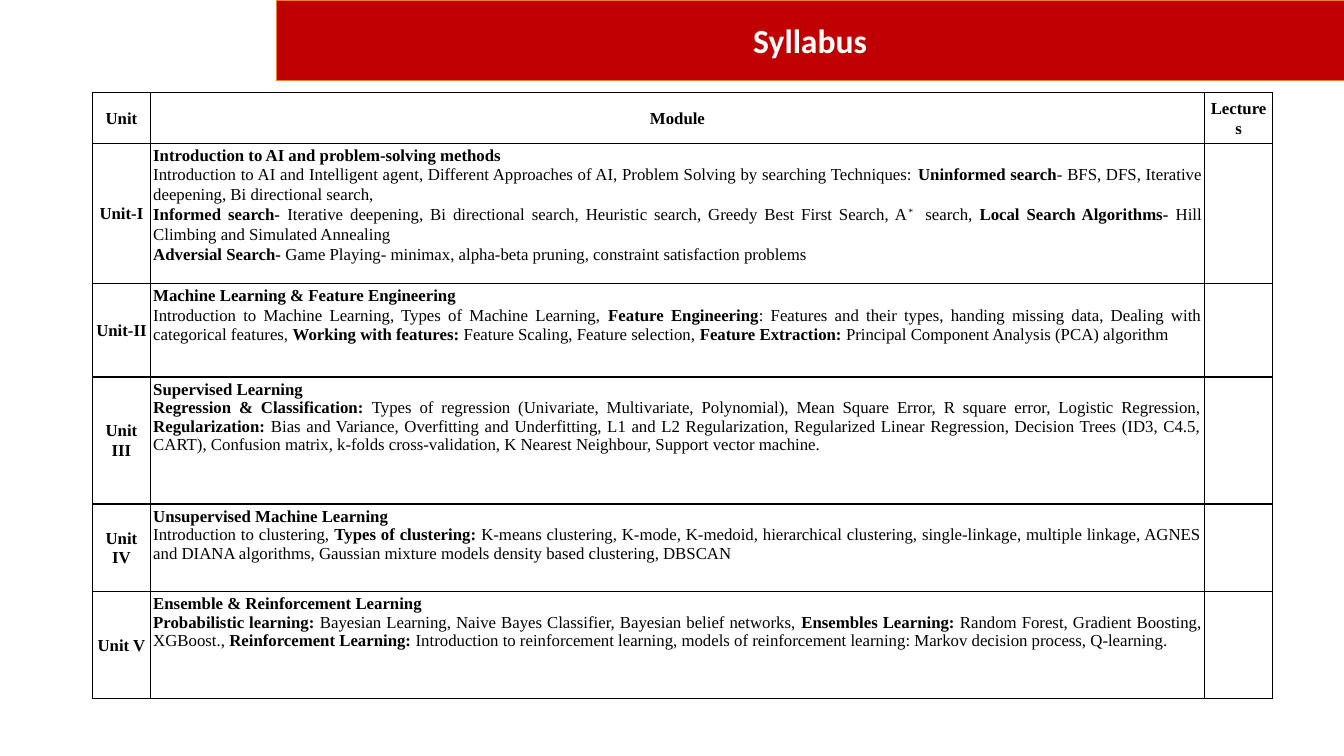
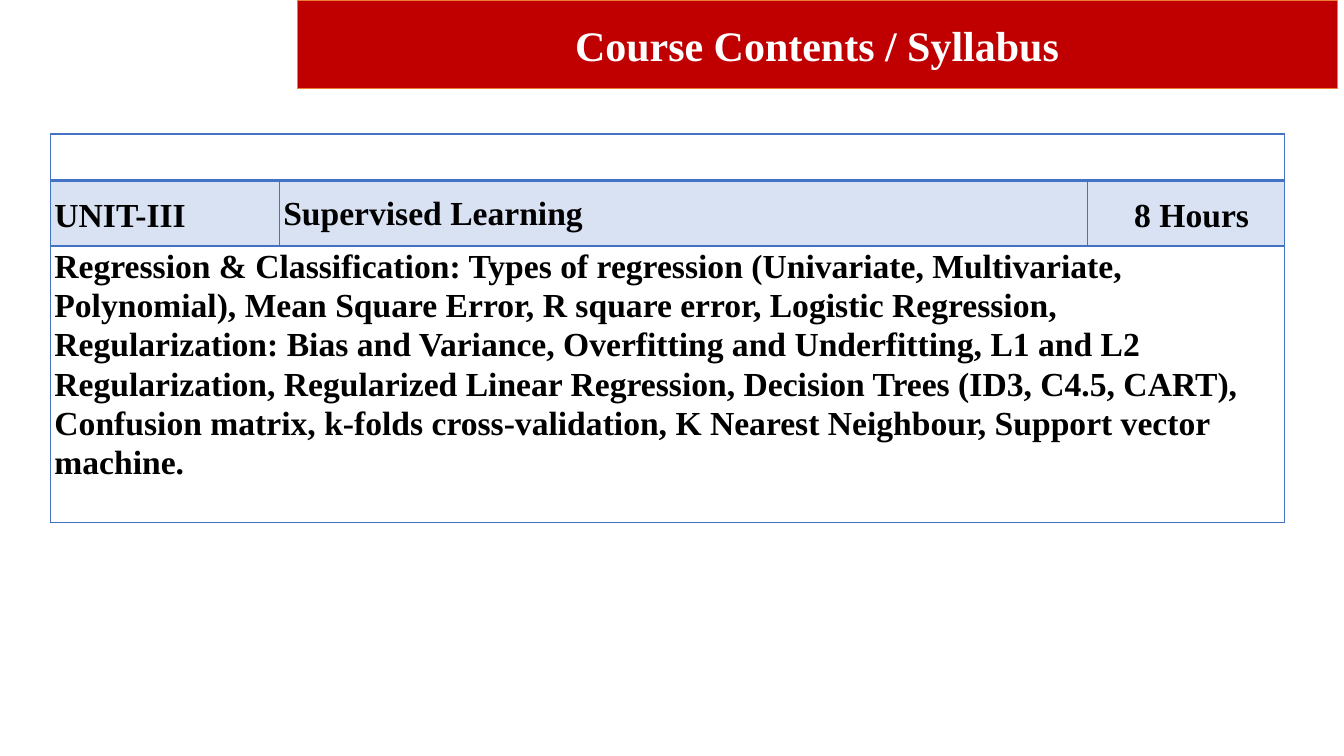
from dataclasses import dataclass

from lxml import etree
from pptx import Presentation
from pptx.dml.color import RGBColor
from pptx.enum.shapes import MSO_SHAPE
from pptx.enum.text import MSO_ANCHOR, PP_ALIGN
from pptx.oxml.ns import qn
from pptx.util import Inches, Pt

RECT = MSO_SHAPE.RECTANGLE
TOP, MIDDLE = MSO_ANCHOR.TOP, MSO_ANCHOR.MIDDLE
LEFT, CENTER, JUSTIFY = PP_ALIGN.LEFT, PP_ALIGN.CENTER, PP_ALIGN.JUSTIFY


@dataclass(frozen=True)
class Theme:
    red: str = "C00000"
    orange: str = "ED7D31"
    blue: str = "4472C4"
    white: str = "FFFFFF"
    black: str = "000000"
    sans: str = "Calibri"
    serif: str = "Times New Roman"
    title: int = 24
    title_large: int = 30
    small: int = 12
    large: int = 24
    spacing: float = 1.06
    tint: int = 20  # opacity of the unit row, percent


T = Theme()

# Content: **bold**, ^superscript^
HEADINGS = ["Unit", "Module", "Lectures"]
UNITS = [  # label, title, body paragraphs, body line spacing
    ("Unit-I", "Introduction to AI and problem-solving methods", [
        "Introduction to AI and Intelligent agent, Different Approaches of AI, Problem Solving by "
        "searching Techniques: **Uninformed search**- BFS, DFS, Iterative deepening, "
        "Bi directional search,",
        "**Informed search-** Iterative deepening, Bi directional search, Heuristic search, "
        "Greedy Best First Search, A^* ^ search, **Local Search Algorithms- **Hill Climbing "
        "and Simulated Annealing",
        "**Adversial Search- **Game Playing- minimax, alpha-beta pruning, "
        "constraint satisfaction problems"], T.spacing),
    ("Unit-II", "Machine Learning & Feature Engineering", [
        "Introduction to Machine Learning, Types of Machine Learning, **Feature Engineering**: "
        "Features and their types, handing missing data, Dealing with categorical features, "
        "**Working with features:** Feature Scaling, Feature selection, "
        "**Feature Extraction:** Principal Component Analysis (PCA) algorithm"], T.spacing),
    ("Unit III", "Supervised Learning", [
        "**Regression & Classification: **Types of regression (Univariate, Multivariate, "
        "Polynomial), Mean Square Error, R square error, Logistic Regression, "
        "**Regularization: **Bias and Variance, Overfitting and Underfitting, L1 and L2 "
        "Regularization, Regularized Linear Regression, Decision Trees (ID3, C4.5, CART), "
        "Confusion matrix, k-folds cross-validation, K Nearest Neighbour, "
        "Support vector machine."], 1.0),
    ("Unit IV", "Unsupervised Machine Learning", [
        "Introduction to clustering, **Types of clustering:** K-means clustering, K-mode, "
        "K-medoid, hierarchical clustering, single-linkage, multiple linkage, AGNES and DIANA "
        "algorithms, Gaussian mixture models density based clustering, DBSCAN"], 1.0),
    ("Unit V", "Ensemble & Reinforcement Learning", [
        "**Probabilistic learning: **Bayesian Learning, Naive Bayes Classifier, Bayesian belief "
        "networks, **Ensembles Learning: **Random Forest, Gradient Boosting, XGBoost., "
        "**Reinforcement Learning: **Introduction to reinforcement learning, models of "
        "reinforcement learning: Markov decision process, Q-learning."], 1.0),
]
SUPERVISED = UNITS[2]
UNIT_ROW = [  # text, line spacing, space after, left margin
    ("UNIT-III", 1.15, 10, 0.04),
    (SUPERVISED[1], T.spacing, 0, 0.04),
    ("8 Hours", 1.15, 10, 0.46),
]


def rgb(color):
    return RGBColor.from_string(color)


def add_run(p, text, size, font=T.serif, color=T.black, bold=True, raised=False):
    r = p.add_run()
    r.text = text
    r.font.size, r.font.name, r.font.bold = Pt(size), font, bold
    r.font.color.rgb = rgb(color)
    if raised:
        r.font._element.set("baseline", "30000")


def add_marked(p, text, size):
    for i, part in enumerate(text.split("**")):
        for j, piece in enumerate(part.split("^")):
            if piece:
                add_run(p, piece, size, bold=i % 2 == 1, raised=j % 2 == 1)


def add_band(slide, left, width, height, text, size, font, margins=(0.1, 0.05)):
    sp = slide.shapes.add_shape(RECT, Inches(left), 0, Inches(width), Inches(height))
    sp.shadow.inherit = False
    sp.fill.solid()
    sp.fill.fore_color.rgb = rgb(T.red)
    sp.line.color.rgb = rgb(T.orange)
    sp.line.width = Pt(0.5)
    tf = sp.text_frame
    tf.word_wrap = True
    tf.vertical_anchor = MIDDLE
    tf.margin_left = tf.margin_right = Inches(margins[0])
    tf.margin_top = tf.margin_bottom = Inches(margins[1])
    p = tf.paragraphs[0]
    p.alignment = CENTER
    add_run(p, text, size, font, T.white)


def set_borders(cell, color, top=1, bottom=1):
    tcPr = cell._tc.get_or_add_tcPr()
    for i, (side, width) in enumerate(zip("LRTB", (1, 1, top, bottom))):
        ln = etree.Element(qn(f"a:ln{side}"), w=str(Pt(width)))
        fill = etree.SubElement(ln, qn("a:solidFill"))
        etree.SubElement(fill, qn("a:srgbClr"), val=color)
        tcPr.insert(i, ln)


def add_grid(slide, left, top, cols, rows, border):
    table = slide.shapes.add_table(
        len(rows), len(cols), Inches(left), Inches(top),
        Inches(sum(cols)), Inches(sum(rows))).table
    table.first_row = table.horz_banding = False
    for col, width in zip(table.columns, cols):
        col.width = Inches(width)
    for row, height in zip(table.rows, rows):
        row.height = Inches(height)
    for cell in table.iter_cells():
        cell.fill.background()
        set_borders(cell, border)
    return table


def format_cell(cell, anchor, side, edge, left=None):
    cell.vertical_anchor = anchor
    cell.margin_left = Inches(side if left is None else left)
    cell.margin_right = Inches(side)
    cell.margin_top = cell.margin_bottom = Inches(edge)


def write_cell(cell, text, size, align=LEFT, spacing=T.spacing, after=0):
    p = cell.text_frame.paragraphs[0]
    p.alignment, p.line_spacing = align, spacing
    if after:
        p.space_after = Pt(after)
    add_run(p, text, size)


def tint_cell(cell):
    cell.fill.solid()
    cell.fill.fore_color.rgb = rgb(T.blue)
    color = cell._tc.tcPr.find(f"{qn('a:solidFill')}/{qn('a:srgbClr')}")
    etree.SubElement(color, qn("a:alpha"), val=str(T.tint * 1000))


def build_syllabus(slide):
    add_band(slide, 2.74, 10.59, 0.8, "Syllabus", T.title, T.sans)
    table = add_grid(slide, 0.92, 0.92, [0.57, 10.46, 0.67],
                     [0.5, 1.39, 0.93, 1.26, 0.87, 1.06], T.black)
    # Heading row
    for c, text in enumerate(HEADINGS):
        cell = table.cell(0, c)
        format_cell(cell, MIDDLE, 0.03, 0.02)
        write_cell(cell, text, T.small, CENTER)
    # One row per unit
    for row, (label, title, body, spacing) in enumerate(UNITS, 1):
        unit, module = table.cell(row, 0), table.cell(row, 1)
        format_cell(unit, MIDDLE, 0.03, 0.02)
        write_cell(unit, label, T.small, CENTER)
        format_cell(module, TOP, 0.03, 0.02)
        write_cell(module, title, T.small)
        for text in body:
            p = module.text_frame.add_paragraph()
            p.alignment, p.line_spacing = JUSTIFY, spacing
            add_marked(p, text, T.small)


def build_contents(slide):
    add_band(slide, 2.95, 10.31, 0.88, "Course Contents / Syllabus",
             T.title_large, T.serif, (0.07, 0.04))
    table = add_grid(slide, 0.5, 1.33, [2.27, 8.02, 1.95], [0.46, 0.65, 2.74], T.blue)
    # Heavier rule under the empty top row
    for c in range(3):
        table.cell(0, c)._tc.tcPr.find(qn("a:lnB")).set("w", str(Pt(2)))
        table.cell(1, c)._tc.tcPr.find(qn("a:lnT")).set("w", str(Pt(2)))
    for row in (0, 2):
        table.cell(row, 0).merge(table.cell(row, 2))
    # Unit row
    for c, (text, spacing, after, left) in enumerate(UNIT_ROW):
        cell = table.cell(1, c)
        tint_cell(cell)
        format_cell(cell, MIDDLE, 0.04, 0, left)
        write_cell(cell, text, T.large, spacing=spacing, after=after)
    # Topics
    topics = table.cell(2, 0)
    format_cell(topics, TOP, 0.04, 0)
    write_cell(topics, SUPERVISED[2][0].replace("**", ""), T.large)


def main():
    prs = Presentation()
    prs.slide_width, prs.slide_height = Inches(13.33), Inches(7.5)
    for build in (build_syllabus, build_contents):
        build(prs.slides.add_slide(prs.slide_layouts[6]))
    prs.save("out.pptx")


if __name__ == "__main__":
    main()
